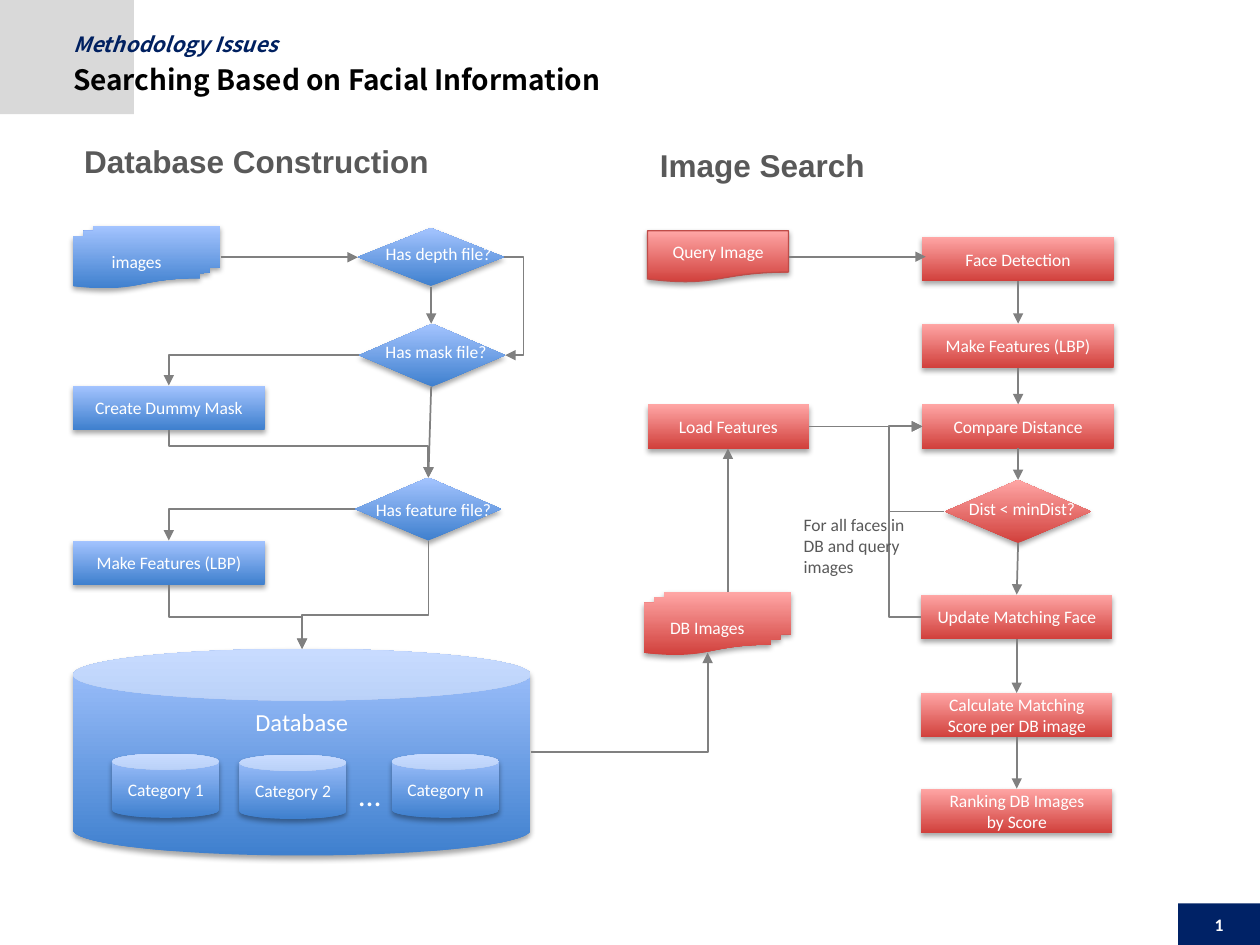
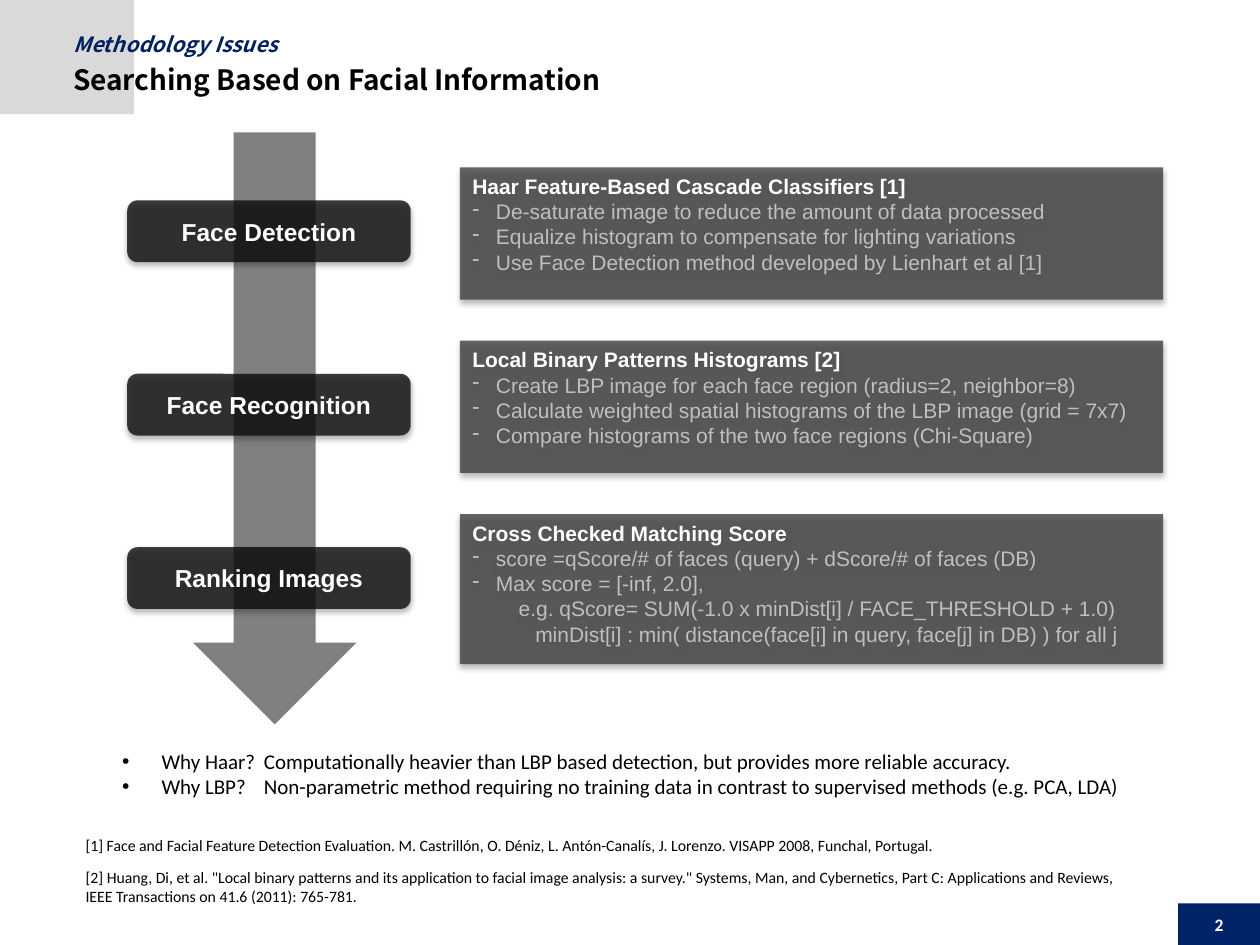
"""Build two slides on searching images by facial information."""
import lxml.etree
import pptx
import pptx.dml.color
import pptx.enum.shapes
import pptx.enum.text
import pptx.oxml.ns
import pptx.util

Pt = pptx.util.Pt
qn = pptx.oxml.ns.qn
rgb = pptx.dml.color.RGBColor.from_string
element = lxml.etree.SubElement
SHAPE = pptx.enum.shapes.MSO_SHAPE
CONNECTOR = pptx.enum.shapes.MSO_CONNECTOR
ALIGN = pptx.enum.text.PP_ALIGN
ANCHOR = pptx.enum.text.MSO_ANCHOR

BLUE = ("3F80CE", "A4C4FF")
RED = ("D1403C", "FFA6A5")
WHITE, BLACK, GREY, DARK_GREY, LIGHT_GREY = "FFFFFF", "000000", "808080", "595959", "BFBFBF"
NAVY, SUBTITLE_NAVY = "002266", "002060"
TITLE_FONT = "Noto Sans CJK KR"


def add_box(page, kind, frame, text="", size=10, ink=WHITE, font="Calibri", bold=False,
            align=ALIGN.CENTER, anchor=ANCHOR.MIDDLE, fill=None, opacity=100, wrap=True):
    """Add a shape, or a text box when kind is None; two fill colours make a shadowed gradient."""
    frame = [Pt(length) for length in frame]
    if kind is None:
        box = page.shapes.add_textbox(*frame)
    else:
        box = page.shapes.add_shape(kind, *frame)
        box.shadow.inherit = False
        box.line.fill.background()
        if isinstance(fill, tuple):
            box.fill.gradient()
            box.fill.gradient_angle = 90
            for stop, tone in zip(box.fill.gradient_stops, fill):
                stop.color.rgb = rgb(tone)
        else:
            box.fill.solid()
            box.fill.fore_color.rgb = rgb(fill)
        properties = box._element.spPr
        if opacity < 100:
            tone = properties.find(qn("a:solidFill")).find(qn("a:srgbClr"))
            element(tone, qn("a:alpha"), val=str(opacity * 1000))
        if isinstance(fill, tuple) or opacity < 100:
            shadow = element(properties.find(qn("a:effectLst")), qn("a:outerShdw"),
                             blurRad=str(Pt(3.1)), dist=str(Pt(1.8)), dir="5400000", rotWithShape="0")
            tone = element(shadow, qn("a:srgbClr"), val=BLACK)
            element(tone, qn("a:alpha"), val="35000")
    box.text_frame.text = text
    box.text_frame.word_wrap = wrap
    box.text_frame.vertical_anchor = anchor
    for para in box.text_frame.paragraphs:
        para.alignment = align
        for span in para.runs:
            span.font.name, span.font.size, span.font.bold = font, Pt(size), bold
            span.font.color.rgb = rgb(ink)
    return box


def add_arrow(page, start, end, route="straight", via=None):
    """Add an arrow; via is the x of the middle leg on a 'side' route, or its y on a 'down' route."""
    (x1, y1), (x2, y2) = start, end
    ends = (x1, y1, x2, y2)
    if route == "down":
        middle_x, middle_y, half_x, half_y = (x1 + x2) / 2, (y1 + y2) / 2, (x2 - x1) / 2, (y2 - y1) / 2
        ends = (middle_x - half_y, middle_y + half_x, middle_x + half_y, middle_y - half_x)
    kind = CONNECTOR.STRAIGHT if route == "straight" else CONNECTOR.ELBOW
    arrow = page.shapes.add_connector(kind, *[Pt(length) for length in ends])
    arrow.line.color.rgb = rgb(GREY)
    arrow.line.width = Pt(1)
    properties = arrow._element.spPr
    geometry = properties.find(qn("a:prstGeom"))
    if route == "down":
        properties.find(qn("a:xfrm")).set("rot", "5400000")
    if route == "corner":
        geometry.set("prst", "bentConnector2")
    if via is not None:
        share = (via - y1) / (y2 - y1) if route == "down" else (via - x1) / (x2 - x1)
        element(geometry.find(qn("a:avLst")), qn("a:gd"), name="adj1", fmla=f"val {round(share * 100000)}")
    element(properties.find(qn("a:ln")), qn("a:tailEnd"), type="triangle")
    element(properties, qn("a:effectLst"))


deck = pptx.Presentation()
deck.slide_width, deck.slide_height = Pt(720), Pt(540)
flow_page = deck.slides.add_slide(deck.slide_layouts[5])
method_page = deck.slides.add_slide(deck.slide_layouts[1])

for number, page in enumerate((flow_page, method_page), 1):
    band = add_box(page, SHAPE.RECTANGLE, (0, 0, 76.5, 65.3), fill="D9D9D9")
    page.shapes._spTree.insert(2, band._element)
    add_box(page, SHAPE.RECTANGLE, (673.2, 516.2, 46.8, 23.8), str(number), bold=True, fill=NAVY)
    section = add_box(page, None, (41.8, 18, 642, 18), "Methodology Issues", 12, SUBTITLE_NAVY,
                      TITLE_FONT, True, ALIGN.LEFT, ANCHOR.TOP)
    section.text_frame.paragraphs[0].runs[0].font.italic = True
    title = page.shapes.title
    title.left, title.top, title.width, title.height = Pt(41.8), Pt(36), Pt(659.5), Pt(41.8)
    title.text_frame.text = "Searching Based on Facial Information"
    title.text_frame.auto_size = pptx.enum.text.MSO_AUTO_SIZE.NONE
    title.text_frame.vertical_anchor = ANCHOR.TOP
    title.text_frame.paragraphs[0].alignment = ALIGN.LEFT
    span = title.text_frame.paragraphs[0].runs[0]
    span.font.name, span.font.size, span.font.bold = TITLE_FONT, Pt(16), True
    span.font.color.rgb = rgb(BLACK)
    for box in (section, title):
        frame = box.text_frame
        frame.margin_left = frame.margin_top = frame.margin_right = frame.margin_bottom = 0

for heading, left, top, width in (("Database Construction", 41, 77.8, 213.8), ("Image Search", 370, 80, 132.5)):
    add_box(flow_page, None, (left, top, width, 28.8), heading, 18, DARK_GREY, "Arial", True,
            ALIGN.LEFT, ANCHOR.TOP, wrap=False)

add_box(flow_page, SHAPE.CAN, (41.8, 370.8, 261.4, 118.1), "Database", 14, anchor=ANCHOR.TOP, fill=BLUE)
for category, left, top in (("1", 64.1, 430.6), ("2", 136.8, 431.3), ("n", 223.9, 430.6)):
    add_box(flow_page, SHAPE.CAN, (left, top, 61.2, 36.7), f"Category {category}", fill=BLUE)
add_box(flow_page, None, (198, 439.2, 27.4, 28.8), "…", 18, align=ALIGN.LEFT, anchor=ANCHOR.TOP, wrap=False)

for label, left, top, tones in (("images", 41.8, 128.9, BLUE), ("DB Images", 367.9, 338.4, RED)):
    add_box(flow_page, SHAPE.FLOWCHART_MULTIDOCUMENT, (left, top, 84.2, 36), label, fill=tones)
query = add_box(flow_page, SHAPE.FLOWCHART_DOCUMENT, (370, 131.8, 80.6, 29.5), "Query Image", fill=RED)
query.line.color.rgb = rgb("BF4C48")
query.line.width = Pt(0.75)

decisions = (
    ("Has depth file?", 204.5, 130.3, 33.1, 212.4, 135.4, 76.3, BLUE),
    ("Has mask file?", 205.2, 185, 36, 212.4, 191.5, 73.4, BLUE),
    ("Has feature file?", 203, 272.9, 36, 206.6, 281.5, 82.1, BLUE),
    ("Dist < minDist?", 540, 274.3, 36, 545.8, 280.8, 76.3, RED),
)
for question, left, top, height, text_left, text_top, text_width, tones in decisions:
    add_box(flow_page, SHAPE.FLOWCHART_DECISION, (left, top, 83.5, height), fill=tones)
    add_box(flow_page, None, (text_left, text_top, text_width, 19.4), question, anchor=ANCHOR.TOP, wrap=False)

processes = (
    ("Create Dummy Mask", 41.8, 220.3, 109.4, BLUE),
    ("Make Features (LBP)", 41.8, 308.9, 109.4, BLUE),
    ("Load Features", 370, 231.1, 92.2, RED),
    ("Face Detection", 527, 135.4, 109.4, RED),
    ("Make Features (LBP)", 527, 185, 109.4, RED),
    ("Compare Distance", 527, 231.1, 109.4, RED),
    ("Update Matching Face", 526.3, 339.8, 109.4, RED),
    ("Calculate Matching Score per DB image", 526.3, 396, 109.4, RED),
    ("Ranking DB Images\nby Score", 526.3, 450.7, 109.4, RED),
)
for step, left, top, width, tones in processes:
    add_box(flow_page, SHAPE.FLOWCHART_PROCESS, (left, top, width, 25.2), step, fill=tones)

straight_arrows = (
    ((126, 147), (204.5, 147)),
    ((246.4, 164), (246.4, 185)),
    ((246.4, 221), (244.8, 272.9)),
    ((450.6, 146.7), (529, 146.7)),
    ((416, 338.4), (416, 256.3)),
    ((462.2, 243.7), (527, 243.7)),
    ((581.8, 160.6), (581.8, 185)),
    ((581.8, 210.2), (581.8, 231.1)),
    ((581.8, 256.3), (581.8, 274.3)),
    ((581.8, 310.3), (581, 339.8)),
    ((581, 365), (581, 396)),
    ((581, 421.2), (581, 450.7)),
)
for start, end in straight_arrows:
    add_arrow(flow_page, start, end)

bent_arrows = (
    ((205.2, 203), (96.5, 220.3), "corner", None),
    ((203, 290.9), (96.5, 308.9), "corner", None),
    ((303.2, 429.8), (404.4, 373), "corner", None),
    ((96.5, 245.5), (244.8, 272.9), "down", 255),
    ((96.5, 334.1), (172.6, 370.8), "down", 352.4),
    ((244.8, 308.9), (172.6, 370.8), "down", 351.6),
    ((288, 147), (288.7, 203), "side", 299),
    ((526.3, 352.6), (527, 243.7), "side", 508.2),
    ((539.3, 292.3), (527, 243.7), "side", 508.2),
)
for start, end, route, via in bent_arrows:
    add_arrow(flow_page, start, end, route, via)
add_box(flow_page, None, (452.2, 290.2, 82.1, 43.9), "For all faces in DB and query images",
        ink=DARK_GREY, align=ALIGN.LEFT, anchor=ANCHOR.TOP)

add_box(method_page, SHAPE.DOWN_ARROW, (110.2, 75.6, 93.6, 338.4), fill=GREY)
stages = (
    ("Face Detection", 75.6, "Haar Feature-Based Cascade Classifiers [1]", (
        "De-saturate image to reduce the amount of data processed",
        "Equalize histogram to compensate for lighting variations",
        "Use Face Detection method developed by Lienhart et al [1]")),
    ("Face Recognition", 75.6, "Local Binary Patterns Histograms [2]", (
        "Create LBP image for each face region (radius=2, neighbor=8)",
        "Calculate weighted spatial histograms of the LBP image (grid = 7x7)",
        "Compare histograms of the two face regions (Chi-Square)")),
    ("Ranking Images", 85.7, "Cross Checked Matching Score", (
        "score =qScore/# of faces (query) + dScore/# of faces (DB)",
        "Max score = [-inf, 2.0],",
        "e.g. qScore= SUM(-1.0 x minDist[i] / FACE_THRESHOLD + 1.0)",
        "minDist[i] : min( distance(face[i] in query, face[j] in DB) ) for all j")),
)
deeper_indents = {"e.g.": 26.5, "minDist[i]": 36}
for index, (stage, panel_height, heading, details) in enumerate(stages):
    top = 95.6 + 99.1 * index
    add_box(method_page, SHAPE.ROUNDED_RECTANGLE, (72.7, top + 18.9, 162, 35.3), stage, 14,
            font="Arial", bold=True, fill="0D0D0D", opacity=80)
    panel = add_box(method_page, SHAPE.RECTANGLE, (262.8, top, 401.8, panel_height),
                    "\n".join((heading,) + details), 12, font="Arial", align=ALIGN.LEFT,
                    anchor=ANCHOR.TOP, fill="404040", opacity=80)
    panel.text_frame.paragraphs[0].runs[0].font.bold = True
    for para in panel.text_frame.paragraphs[1:]:
        para.runs[0].font.color.rgb = rgb(LIGHT_GREY)
        settings = para._p.get_or_add_pPr()
        indent = deeper_indents.get(para.text.split()[0])
        if indent:
            settings.set("marL", str(Pt(indent)))
        else:
            settings.set("marL", str(Pt(13.5)))
            settings.set("indent", str(Pt(-13.5)))
            element(settings, qn("a:buChar"), char="-")

reasons = method_page.placeholders[1]
reasons.left, reasons.top, reasons.width, reasons.height = Pt(62.6), Pt(424.1), Pt(589), Pt(36)
reasons.text_frame.text = (
    "Why Haar?\tComputationally heavier than LBP based detection, but provides more reliable accuracy.\n"
    "Why LBP?\tNon-parametric method requiring no training data in contrast to supervised methods (e.g. PCA, LDA)")
reasons.text_frame.word_wrap = False
reasons.text_frame.auto_size = pptx.enum.text.MSO_AUTO_SIZE.NONE
for para in reasons.text_frame.paragraphs:
    settings = para._p.get_or_add_pPr()
    settings.set("marL", str(Pt(22.5)))
    settings.set("indent", str(Pt(-22.5)))
    element(settings, qn("a:buChar"), char="•")
    element(element(settings, qn("a:tabLst")), qn("a:tab"), pos=str(Pt(81)), algn="l")
    para.space_before = Pt(0)
    for span in para.runs:
        span.font.name, span.font.size = "Calibri", Pt(12)
        span.font.color.rgb = rgb(BLACK)

references = (
    ("[1] Face and Facial Feature Detection Evaluation. M. Castrillón, O. Déniz, L. Antón-Canalís, "
     "J. Lorenzo. VISAPP 2008, Funchal, Portugal.", 473.8, 578.9, 18),
    ("[2] Huang, Di, et al. \"Local binary patterns and its application to facial image analysis: a survey.\" "
     "Systems, Man, and Cybernetics, Part C: Applications and Reviews, "
     "IEEE Transactions on 41.6 (2011): 765-781.", 492.5, 601.2, 28.8),
)
for reference, top, width, height in references:
    add_box(method_page, None, (41.8, top, width, height), reference, 9, BLACK,
            align=ALIGN.LEFT, anchor=ANCHOR.TOP)

deck.save("out.pptx")
